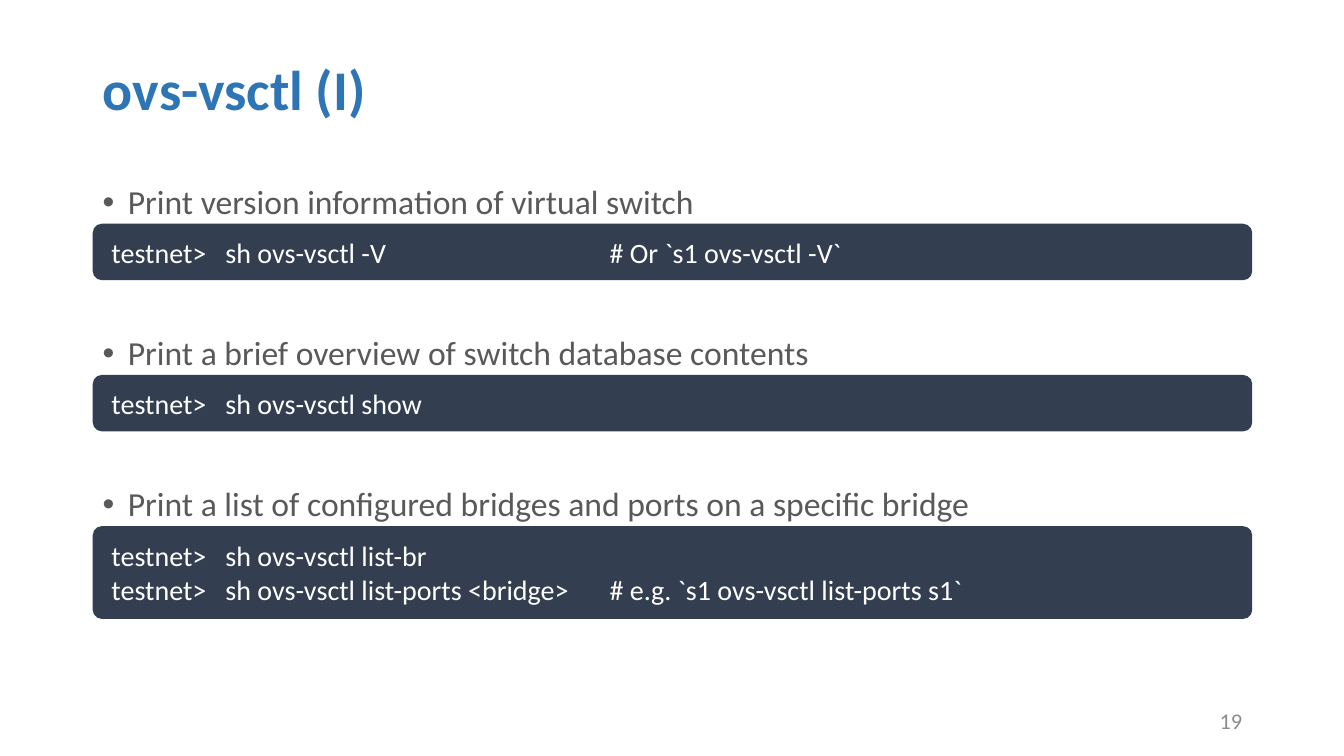
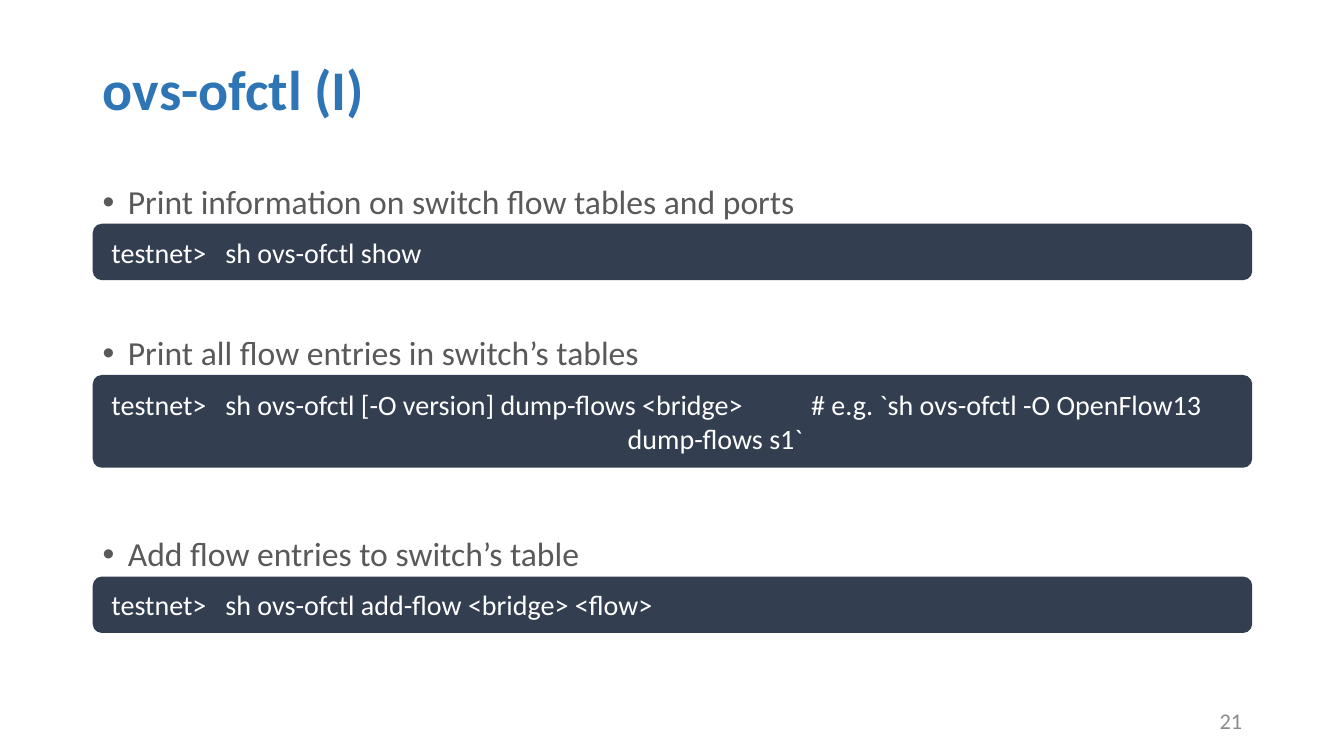
from lxml import etree
from pptx import Presentation
from pptx.dml.color import RGBColor
from pptx.enum import shapes, text
from pptx.oxml import ns
from pptx.util import Inches, Pt

# Content: each item is (bullet, code lines, note tab in inches);
# a code line is (prompt, command, note)
PROMPT = "testnet>"
SLIDES = [
    ("ovs-vsctl (I)", "19", [
        ("Print version information of virtual switch",
         [(PROMPT, "sh ovs-vsctl -V", "# Or `s1 ovs-vsctl -V`")], 4.94),
        ("Print a brief overview of switch database contents",
         [(PROMPT, "sh ovs-vsctl show")], 4.94),
        ("Print a list of configured bridges and ports on a specific bridge",
         [(PROMPT, "sh ovs-vsctl list-br"),
          (PROMPT, "sh ovs-vsctl list-ports <bridge>",
           "# e.g. `s1 ovs-vsctl list-ports s1`")], 4.94),
    ]),
    ("ovs-ofctl (I)", "21", [
        ("Print information on switch flow tables and ports",
         [(PROMPT, "sh ovs-ofctl show")], 4.94),
        ("Print all flow entries in switch’s tables",
         [(PROMPT, "sh ovs-ofctl [-O version] dump-flows <bridge>",
           "# e.g. `sh ovs-ofctl -O OpenFlow13"),
          ("", "", "dump-flows s1`")], (6.94, 5.12)),
        ("Add flow entries to switch’s table",
         [(PROMPT, "sh ovs-ofctl add-flow <bridge> <flow>")], 4.94),
    ]),
]

# Shared style
COLORS = {"title": "2E75B6", "body": "595959", "number": "8C8C8C",
          "band": "333F50", "code": "FFFFFF"}
SIZES = {"title": 40, "body": 24, "number": 16, "code": 20}
LEFT, WIDTH = 0.92, 11.5
TOP = 2.22          # first band
STEP = 0.5          # vertical rhythm
LINE = 0.36         # text line, one band grows by this
BASE = 0.2          # band padding
ROW = 26            # height of a bullet line in points
RADIUS = 0.09
CMD = 1.13          # tab where commands start


def style(par, kind, **form):
    font = par.font
    font.name, font.size = "Calibri", Pt(SIZES[kind])
    font.color.rgb = RGBColor.from_string(COLORS[kind])
    font.bold = kind == "title"
    for key, val in form.items():
        setattr(par, key, val)


def place(shape, x, y, w, h):
    for key, val in zip(("left", "top", "width", "height"), (x, y, w, h)):
        setattr(shape, key, Inches(val))


def box(slide, x, y, w, h, anchor):
    shape = slide.shapes.add_textbox(*map(Inches, (x, y, w, h)))
    frame = shape.text_frame
    frame.word_wrap, frame.vertical_anchor = True, anchor
    return frame


def bullet(par):
    props = par._p.get_or_add_pPr()
    props.set("marL", str(Inches(0.25)))
    props.set("indent", str(-Inches(0.25)))
    etree.SubElement(props, ns.qn("a:buFont")).set("typeface", "Arial")
    etree.SubElement(props, ns.qn("a:buChar")).set("char", "•")


def tabs(par, stops):
    group = etree.SubElement(par._p.get_or_add_pPr(), ns.qn("a:tabLst"))
    for stop in stops:
        tab = etree.SubElement(group, ns.qn("a:tab"))
        tab.set("pos", str(Inches(stop)))
        tab.set("algn", "l")


def band(slide, y, lines, notes):
    high = BASE + LINE * len(lines)
    shape = slide.shapes.add_shape(
        shapes.MSO_SHAPE.ROUNDED_RECTANGLE,
        *map(Inches, (LEFT, y, WIDTH, high)))
    shape.adjustments[0] = RADIUS / high
    shape.shadow.inherit = False
    shape.fill.solid()
    shape.fill.fore_color.rgb = RGBColor.from_string(COLORS["band"])
    shape.line.fill.background()
    frame = shape.text_frame
    frame.word_wrap, frame.margin_left = True, Inches(0.16)
    frame.vertical_anchor = text.MSO_ANCHOR.MIDDLE
    if not isinstance(notes, tuple):
        notes = (notes,) * len(lines)
    for i, (line, note) in enumerate(zip(lines, notes)):
        par = frame.add_paragraph() if i else frame.paragraphs[0]
        par.text = "\t".join(line)
        style(par, "code", alignment=text.PP_ALIGN.LEFT)
        tabs(par, (CMD, note))


def build(deck, name, number, items):
    slide = deck.slides.add_slide(deck.slide_layouts[5])

    # Title
    title = slide.shapes.title
    place(title, LEFT, 0.19, WIDTH, 1.45)
    title.text_frame.text = name
    title.text_frame.vertical_anchor = text.MSO_ANCHOR.MIDDLE
    style(title.text_frame.paragraphs[0], "title",
          alignment=text.PP_ALIGN.LEFT, line_spacing=0.9)

    # Bullets, each with its band below
    body = box(slide, LEFT, 1.79, WIDTH, 5.16, text.MSO_ANCHOR.TOP)
    y = TOP
    for i, (label, lines, notes) in enumerate(items):
        gap = 10
        if i:
            steps = 2 + len(items[i - 1][1])
            y += STEP * steps
            gap = STEP * 72 * steps - ROW
        par = body.add_paragraph() if i else body.paragraphs[0]
        par.text = label
        style(par, "body", line_spacing=0.9, space_before=Pt(gap))
        bullet(par)
        band(slide, y, lines, notes)

    # Slide number
    foot = box(slide, 9.42, 6.95, 3, 0.4, text.MSO_ANCHOR.MIDDLE)
    foot.text = number
    style(foot.paragraphs[0], "number", alignment=text.PP_ALIGN.RIGHT)


def main():
    deck = Presentation()
    deck.slide_width, deck.slide_height = Inches(13.33), Inches(7.5)
    for page in SLIDES:
        build(deck, *page)
    deck.save("out.pptx")


if __name__ == "__main__":
    main()
